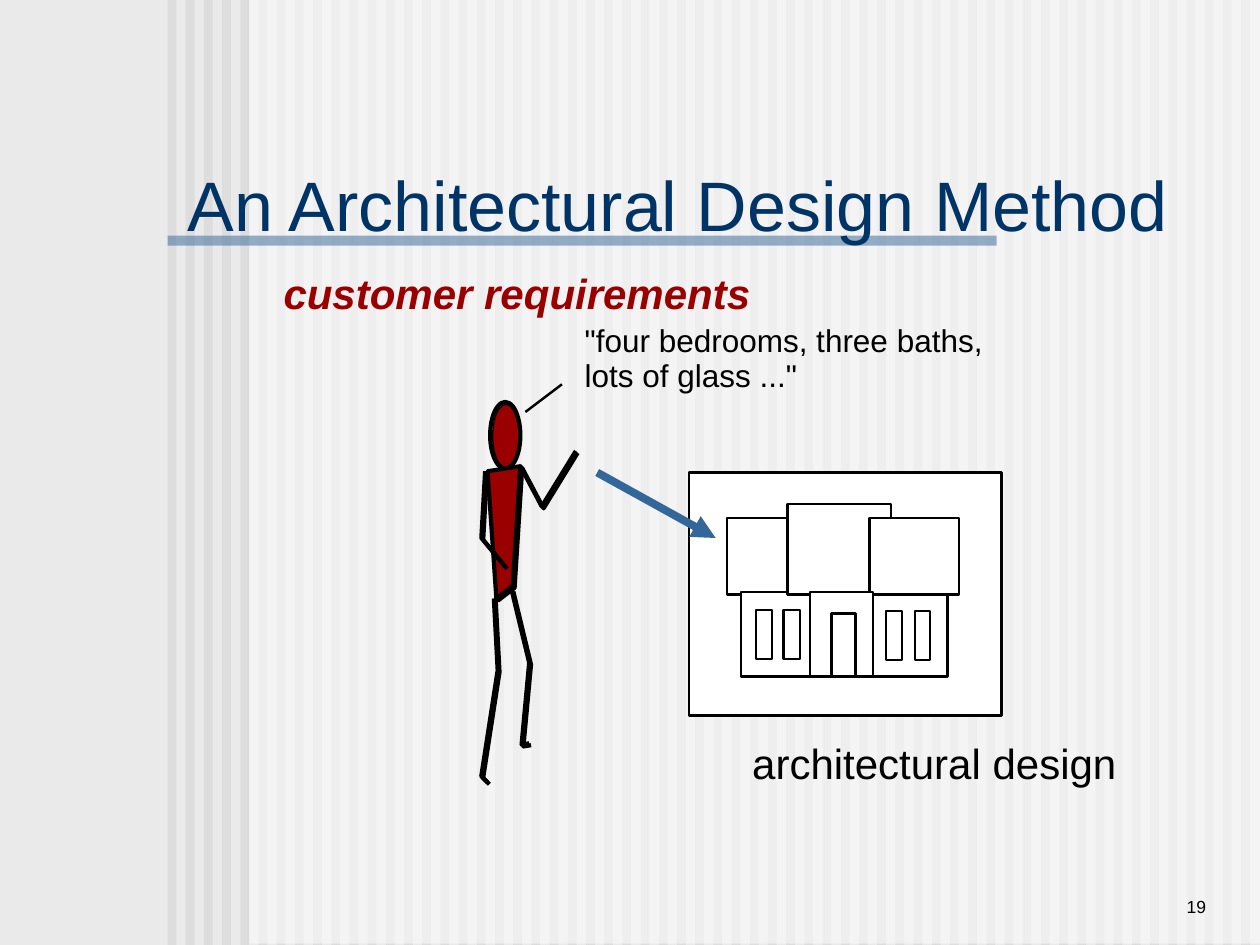
from lxml.etree import SubElement
from pptx import Presentation
from pptx.dml.color import RGBColor
from pptx.enum.shapes import MSO_CONNECTOR as CONN, MSO_SHAPE as SHAPE
from pptx.enum.text import MSO_ANCHOR as ANCHOR, PP_ALIGN as ALIGN
from pptx.oxml.ns import qn
from pptx.util import Inches, Pt

COLORS = {
    "background": "EAEAEA", "stripe": "DDDDDD", "white": "FFFFFF",
    "blue": "336699", "title": "003366", "red": "9A0000", "black": "000000",
}
STRIPES = 60
FIRST_STRIPE, LAST_STRIPE = 1.33, 9.85
THIN, THICK = 1.39, 2.38
DOUBLE_STROKE = 0.015

TORSO = [(3.87, 3.74), (4.13, 3.7), (4.07, 4.65), (3.94, 4.75), (3.87, 3.74)]
LIMBS = [
    [(4.13, 3.7), (4.3, 4.02), (4.57, 3.58)],
    [(3.85, 3.74), (3.82, 4.27), (4.01, 4.5)],
    [(4.06, 4.68), (4.2, 5.26), (4.14, 5.91), (4.2, 5.9)],
    [(3.92, 4.75), (3.95, 5.32), (3.82, 6.16), (3.87, 6.21)],
]
HOUSE = [
    (5.47, 3.75, 2.48, 1.93),
    (5.77, 4.11, 0.5, 0.61),
    (5.88, 4.7, 1.64, 0.67),
    (6.25, 4, 0.82, 0.72),
    (6.9, 4.11, 0.71, 0.61),
    (6.43, 4.7, 0.5, 0.67),
    (6, 4.84, 0.13, 0.39),
    (6.22, 4.84, 0.13, 0.39),
    (6.6, 4.87, 0.19, 0.5),
    (7.03, 4.85, 0.13, 0.39),
    (7.26, 4.85, 0.12, 0.39),
]
LABELS = [
    ("\"four bedrooms, three baths,", (4.64, 2.58, 3.16, 0.27), {"size": 18}),
    ("lots of glass ...\"", (4.64, 2.86, 1.69, 0.27), {"size": 18}),
    ("customer requirements", (2.25, 2.17, 3.71, 0.36),
     {"size": 24, "color": "red", "bold": True, "italic": True}),
    ("architectural design", (5.97, 5.9, 2.89, 0.36), {"size": 24}),
]


def rgb(name):
    """Return the named colour."""
    return RGBColor.from_string(COLORS[name])


def style(sp, fill=None, line=None, width=THIN, alpha=None):
    """Set the fill, outline and transparency of a shape."""
    sp.shadow.inherit = False
    if fill:
        sp.fill.solid()
        sp.fill.fore_color.rgb = rgb(fill)
    else:
        sp.fill.background()
    if alpha:
        color = sp.fill._xPr.find(qn("a:solidFill"))[0]
        SubElement(color, qn("a:alpha"), val=str(alpha * 1000))
    if line:
        sp.line.color.rgb = rgb(line)
        sp.line.width = Pt(width)
    else:
        sp.line.fill.background()


def add_preset(s, box, kind=SHAPE.RECTANGLE, **look):
    """Add a preset shape."""
    sp = s.shapes.add_shape(kind, *map(Inches, box))
    style(sp, **look)


def add_outline(s, points, shift=0, fill=None):
    """Add a heavy black outline through the points, moved by shift."""
    start, *rest = [(Inches(x + shift), Inches(y + shift)) for x, y in points]
    builder = s.shapes.build_freeform(*start)
    builder.add_line_segments(rest, close=points[0] == points[-1])
    style(builder.convert_to_shape(), fill, "black", THICK)


def add_line(s, start, end, color, width, arrow=False):
    """Add a straight line, with an arrowhead at its end if asked."""
    c = s.shapes.add_connector(CONN.STRAIGHT, *map(Inches, start + end))
    c.line.color.rgb = rgb(color)
    c.line.width = Pt(width)
    if arrow:
        SubElement(c.line._get_or_add_ln(), qn("a:tailEnd"), type="triangle")
    SubElement(c._element.spPr, qn("a:effectLst"))


def add_text(s, text, box, size, color="black", inset=(0, 0), wrap=False,
             anchor=ANCHOR.TOP, align=ALIGN.LEFT, spacing=0.9, **font):
    """Add a one-line text box."""
    tf = s.shapes.add_textbox(*map(Inches, box)).text_frame
    across, down = map(Inches, inset)
    frame = {"margin_left": across, "margin_right": across, "margin_top": down,
             "margin_bottom": down, "word_wrap": wrap, "vertical_anchor": anchor}
    for name, value in frame.items():
        setattr(tf, name, value)
    p = tf.paragraphs[0]
    p.alignment, p.line_spacing = align, spacing
    r = p.add_run()
    r.text = text
    r.font.color.rgb = rgb(color)
    for name, value in {"name": "Arial", "size": Pt(size), **font}.items():
        setattr(r.font, name, value)


def add_backdrop(s):
    """Add the stripes, the pale veil and the title rule."""
    step = (LAST_STRIPE - FIRST_STRIPE) / (STRIPES - 1)
    for i in range(STRIPES):
        add_preset(s, (FIRST_STRIPE + i * step, 0, 0.07, 7.5), fill="stripe")
    add_preset(s, (1.98, -0.01, 8.02, 7.5), fill="white", alpha=50)
    add_preset(s, (1.33, 1.87, 6.58, 0.08), fill="blue", alpha=50)


def add_customer(s):
    """Add the customer figure with its doubled strokes."""
    add_preset(s, (3.91, 3.21, 0.21, 0.5), SHAPE.OVAL,
               fill="red", line="black", width=0.75)
    add_preset(s, (3.89, 3.19, 0.24, 0.53), SHAPE.OVAL, line="black", width=THICK)
    add_outline(s, TORSO, DOUBLE_STROKE)
    add_outline(s, TORSO, fill="red")
    for limb in LIMBS:
        for shift in (DOUBLE_STROKE, 0):
            add_outline(s, limb, shift)
    add_line(s, (4.17, 3.27), (4.46, 3.05), "black", THIN)


def main():
    """Build the slide and save it."""
    prs = Presentation()
    prs.slide_width, prs.slide_height = Inches(10), Inches(7.5)
    s = prs.slides.add_slide(prs.slide_layouts[6])
    s.background.fill.solid()
    s.background.fill.fore_color.rgb = rgb("background")
    add_backdrop(s)
    add_text(s, "19", (8.25, 6.83, 1.42, 0.5), 10, inset=(0.1, 0.05), wrap=True,
             anchor=ANCHOR.BOTTOM, align=ALIGN.RIGHT, spacing=1.0)
    add_text(s, "An Architectural Design Method", (1.42, 1.25, 7.95, 0.72), 40,
             "title", inset=(0.07, 0.03), wrap=True, spacing=1.0)
    for text, box, look in LABELS:
        add_text(s, text, box, **look)
    add_customer(s)
    for box in HOUSE:
        add_preset(s, box, fill="white", line="black")
    add_line(s, (4.74, 3.75), (5.68, 4.27), "blue", 4.5, arrow=True)
    prs.save("out.pptx")


if __name__ == "__main__":
    main()
